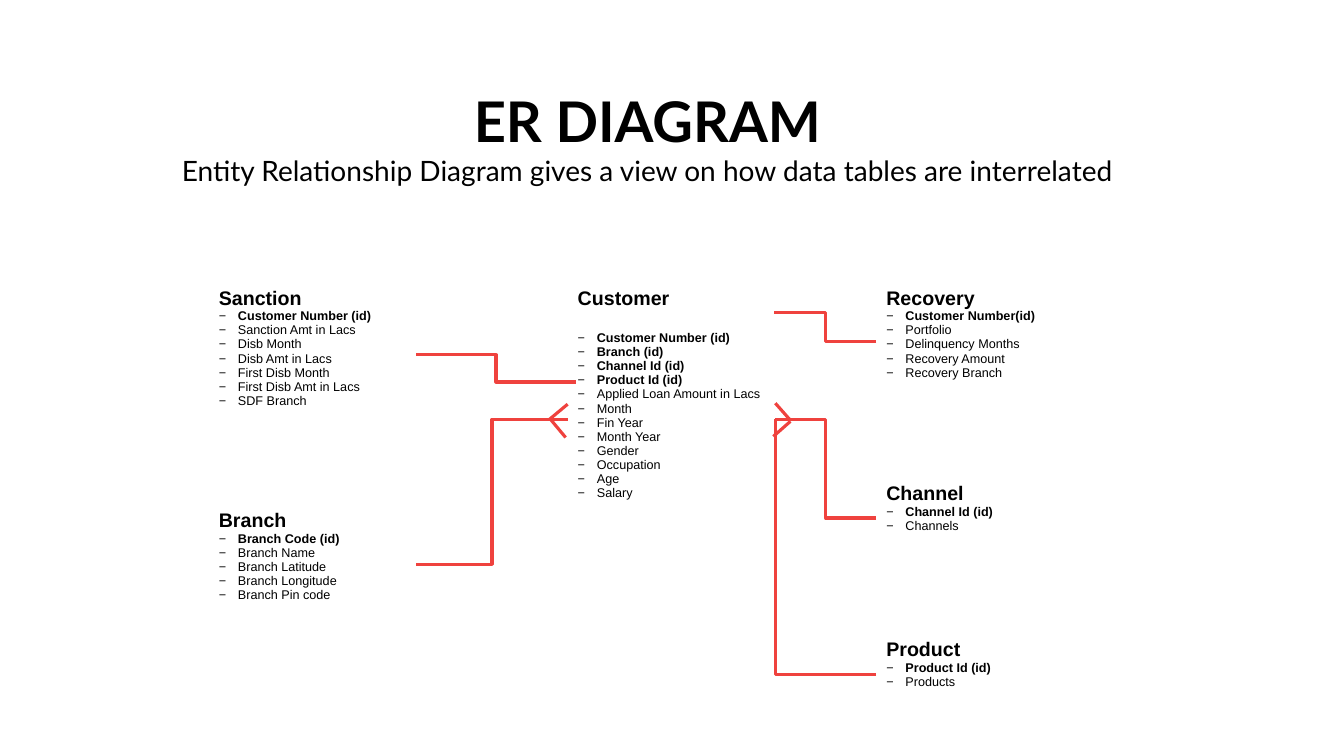
"""Build the ER diagram slide."""
from lxml import etree
from pptx import Presentation
from pptx.dml.color import RGBColor
from pptx.enum.shapes import MSO_CONNECTOR
from pptx.enum.text import MSO_ANCHOR, PP_ALIGN
from pptx.oxml.ns import qn
from pptx.util import Inches, Pt

CENTER, LEFT = PP_ALIGN.CENTER, PP_ALIGN.LEFT
MIDDLE = MSO_ANCHOR.MIDDLE
ELBOW, STRAIGHT = MSO_CONNECTOR.ELBOW, MSO_CONNECTOR.STRAIGHT
COLORS = {"text": "000000", "line": "EF423E", "cell": "FFFFFF"}
TABLE_W = 2.06
INDENT = Inches(0.19)


def add_text(p, text, size=9, font="Arial", bold=False, align=LEFT, bullet=False):
    p.alignment = align
    r = p.add_run()
    r.text = text
    r.font.size = Pt(size)
    r.font.name = font
    r.font.bold = bold
    r.font.color.rgb = RGBColor.from_string(COLORS["text"])
    if bullet:
        pPr = p._p.get_or_add_pPr()
        pPr.set("marL", str(INDENT))
        pPr.set("indent", str(-INDENT))
        clr = etree.SubElement(pPr, qn("a:buClr"))
        etree.SubElement(clr, qn("a:srgbClr"), val=COLORS["text"])
        etree.SubElement(pPr, qn("a:buFont"), typeface=font)
        etree.SubElement(pPr, qn("a:buChar"), char="−")


def add_line(kind, start, end):
    line = slide.shapes.add_connector(kind, *map(Inches, start + end))
    line.line.color.rgb = RGBColor.from_string(COLORS["line"])
    line.line.width = Pt(2.25)
    etree.SubElement(line._element.spPr, qn("a:effectLst"))
    return line


prs = Presentation()
prs.slide_width = Inches(13.33)
prs.slide_height = Inches(7.5)
slide = prs.slides.add_slide(prs.slide_layouts[5])

title = slide.shapes.title
title.left, title.top = Inches(1.4), Inches(0.79)
title.width, title.height = Inches(10.04), Inches(1.13)
tf = title.text_frame
tf.word_wrap = True
tf.vertical_anchor = MIDDLE
add_text(tf.paragraphs[0], "ER DIAGRAM", size=40, font="Lato", bold=True, align=CENTER)
add_text(tf.add_paragraph(),
         "Entity Relationship Diagram gives a view on how data tables are interrelated",
         size=20, font="Lato", align=CENTER)

entities = [
    ("Customer", 5.63, 2.8, 2.73, 15.5,
     ["Customer Number (id)", "Branch (id)", "Channel Id (id)", "Product Id (id)",
      "Applied Loan Amount in Lacs", "Month", "Fin Year", "Month Year", "Gender",
      "Occupation", "Age", "Salary"]),
    ("Sanction", 2.07, 2.8, 1.45, 0,
     ["Customer Number (id)", "Sanction Amt in Lacs", "Disb Month", "Disb Amt in Lacs",
      "First Disb Month", "First Disb Amt in Lacs", "SDF Branch"]),
    ("Recovery", 8.69, 2.8, 1.18, 0,
     ["Customer Number(id)", "Portfolio", "Delinquency Months", "Recovery Amount",
      "Recovery Branch"]),
    ("Branch", 2.07, 5.01, 1.18, 0,
     ["Branch Code (id)", "Branch Name", "Branch Latitude", "Branch Longitude",
      "Branch Pin code"]),
    ("Channel", 8.69, 4.74, 0.79, 0, ["Channel Id (id)", "Channels"]),
    ("Product", 8.69, 6.29, 0.79, 0, ["Product Id (id)", "Products"]),
]
for name, left, top, height, gap, fields in entities:
    table = slide.shapes.add_table(1, 1, Inches(left), Inches(top),
                                   Inches(TABLE_W), Inches(height)).table
    table.first_row = table.horz_banding = False
    cell = table.cell(0, 0)
    cell.fill.solid()
    cell.fill.fore_color.rgb = RGBColor.from_string(COLORS["cell"])
    tf = cell.text_frame
    add_text(tf.paragraphs[0], name, size=14, bold=True)
    tf.paragraphs[0].space_after = Pt(gap)
    for field in fields:
        add_text(tf.add_paragraph(), field, bold=field.endswith("(id)"), bullet=True)

relations = [
    ((5.63, 4.16), (4.13, 5.6), 50000),
    ((5.71, 3.79), (4.13, 3.52), 50000),
    ((8.69, 3.39), (7.68, 3.1), 50000),
    ((8.69, 5.14), (7.69, 4.16), 50000),
    ((8.69, 6.69), (7.69, 4.16), 100000),
]
for start, end, bend in relations:
    elbow = add_line(ELBOW, start, end)
    guides = elbow._element.spPr.find(qn("a:prstGeom")).get_or_add_avLst()
    etree.SubElement(guides, qn("a:gd"), name="adj1", fmla=f"val {bend}")

crow_feet = [
    ((5.63, 4.01), (5.45, 4.16)),
    ((5.61, 4.34), (5.46, 4.16)),
    ((7.69, 4.0), (7.84, 4.17)),
    ((7.84, 4.18), (7.67, 4.33)),
]
for start, end in crow_feet:
    add_line(STRAIGHT, start, end)

prs.save("out.pptx")
